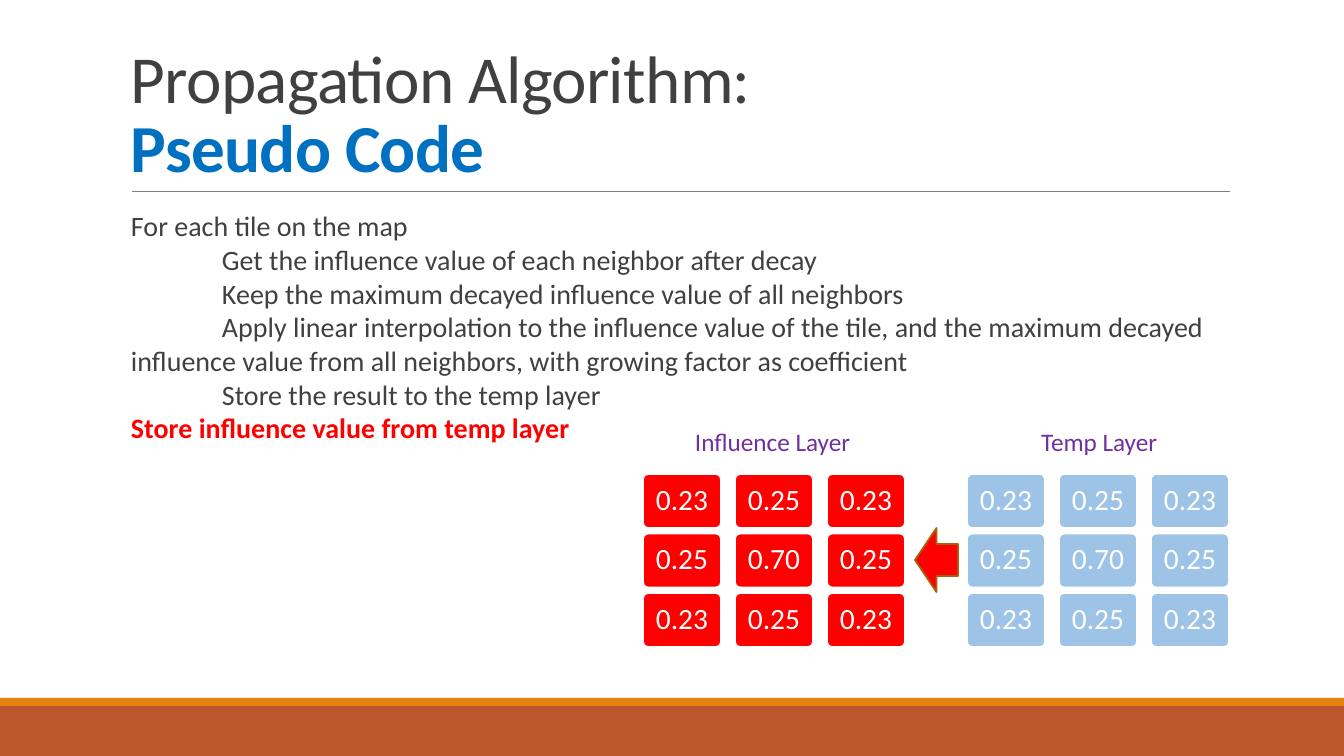
from pptx import Presentation
from pptx import util as u
from pptx.dml.color import RGBColor
from pptx.enum import shapes, text
from pptx.oxml.ns import qn
from lxml import etree

# Content
TITLE = [("Propagation Algorithm:", "ink", False), ("Pseudo Code", "blue", True)]
# (text, is indented, colour, bold)
STEPS = [
    ("For each tile on the map", False, "ink", False),
    ("Get the influence value of each neighbor after decay", True, "ink", False),
    ("Keep the maximum decayed influence value of all neighbors", True, "ink", False),
    ("Apply linear interpolation to the influence value of the tile, and the maximum "
     "decayed influence value from all neighbors, with growing factor as coefficient",
     True, "ink", False),
    ("Store the result to the temp layer", True, "ink", False),
    ("Store influence value from temp layer", False, "red", True),
]
VALUES = [("0.23", "0.25", "0.23"), ("0.25", "0.70", "0.25"), ("0.23", "0.25", "0.23")]
# (label, label left, grid left, fill)
LAYERS = [("Influence Layer", 685, 643, "red"), ("Temp Layer", 1031, 967, "sky")]

COLORS = {
    "ink": "404040", "blue": "0070C0", "red": "FF0000", "sky": "9DC3E6",
    "purple": "7030A0", "white": "FFFFFF", "rust": "BD582C", "orange": "E48312",
    "rule": "808080", "brown": "A9610D",
}
FONT = "Calibri"
SCALE = 914400 / 100.8
GRID_TOP, CELL_WIDTH, CELL_HEIGHT = 474, 78, 54
COLUMN_PITCH, TWO_ROWS = 92, 119


def px(length):
    return u.Emu(round(length * SCALE))


def color(name):
    return RGBColor.from_string(COLORS[name])


def apply(target, values):
    for name, value in values.items():
        setattr(target, name, value)


def style(span, size, tint, bold=False):
    apply(span.font, {"name": FONT, "size": u.Pt(size), "bold": bold})
    span.font.color.rgb = color(tint)


def frame_format(frame, side=10, edge=5, **values):
    apply(frame, {"margin_left": px(side), "margin_right": px(side),
                  "margin_top": px(edge), "margin_bottom": px(edge),
                  "word_wrap": True, "auto_size": text.MSO_AUTO_SIZE.NONE, **values})


def add_shape(page, kind, place, fill, line=None):
    shape = page.shapes.add_shape(kind, *map(px, place))
    shape.shadow.inherit = False
    shape.fill.solid()
    shape.fill.fore_color.rgb = color(fill)
    if line:
        shape.line.color.rgb = color(line)
        shape.line.width = u.Pt(1.25)
    else:
        shape.line.fill.background()
    return shape


def add_box(page, place, **values):
    frame = page.shapes.add_textbox(*map(px, place)).text_frame
    frame_format(frame, **values)
    return frame


def add_background(page):
    add_shape(page, shapes.MSO_SHAPE.RECTANGLE, (0, 706, 1344, 50), "rust")
    add_shape(page, shapes.MSO_SHAPE.RECTANGLE, (0, 698, 1344, 8), "orange")
    rule = page.shapes.add_connector(shapes.MSO_CONNECTOR.STRAIGHT,
                                     *map(px, (132, 191, 1230, 191)))
    rule.line.color.rgb = color("rule")
    rule.line.width = u.Pt(0.5)
    etree.SubElement(rule.element.spPr, qn("a:effectLst"))


def add_title(page):
    title = page.shapes.title
    apply(title, dict(zip(("left", "top", "width", "height"),
                          map(px, (121, 31, 1109, 160)))))
    frame_format(title.text_frame, vertical_anchor=text.MSO_ANCHOR.BOTTOM)
    para = title.text_frame.paragraphs[0]
    apply(para, {"alignment": text.PP_ALIGN.LEFT, "line_spacing": 0.85})
    for index, (words, tint, bold) in enumerate(TITLE):
        if index:
            para.add_line_break()
        span = para.add_run()
        span.text = words
        style(span, 48, tint, bold)
        span.font._element.set("spc", "-50")


def add_steps(page):
    frame = add_box(page, (121, 204, 1109, 443), side=0)
    for index, (words, indented, tint, bold) in enumerate(STEPS):
        para = frame.add_paragraph() if index else frame.paragraphs[0]
        para.line_spacing = u.Pt(24)
        # Only the first line of an indented step moves in
        properties = para._p.get_or_add_pPr()
        properties.set("marL", str(px(10)))
        properties.set("indent", str(px(91 if indented else 0)))
        span = para.add_run()
        span.text = words
        style(span, 20, tint, bold)


def add_layer(page, label, label_left, grid_left, fill):
    para = add_box(page, (label_left, 421, 178, 40)).paragraphs[0]
    para.text = label
    style(para, 18, "purple")
    for row, numbers in enumerate(VALUES):
        for column, number in enumerate(numbers):
            place = (grid_left + column * COLUMN_PITCH,
                     GRID_TOP + row * TWO_ROWS / 2, CELL_WIDTH, CELL_HEIGHT)
            cell = add_shape(page, shapes.MSO_SHAPE.ROUNDED_RECTANGLE, place, fill, "white")
            cell.adjustments[0] = 0.1
            frame_format(cell.text_frame, side=9, edge=9,
                         vertical_anchor=text.MSO_ANCHOR.MIDDLE)
            para = cell.text_frame.paragraphs[0]
            para.text = number
            apply(para, {"alignment": text.PP_ALIGN.CENTER, "line_spacing": 0.9})
            style(para, 21, "white")


def main():
    deck = Presentation()
    apply(deck, {"slide_width": px(1344), "slide_height": px(756)})
    page = deck.slides.add_slide(deck.slide_layouts.get_by_name("Title Only"))
    add_background(page)
    add_title(page)
    add_steps(page)
    for layer in LAYERS:
        add_layer(page, *layer)
    # Arrow from the temp layer back to the influence layer
    add_shape(page, shapes.MSO_SHAPE.LEFT_ARROW, (915, 528, 43, 64), "red", "brown")
    deck.save("out.pptx")


if __name__ == "__main__":
    main()
